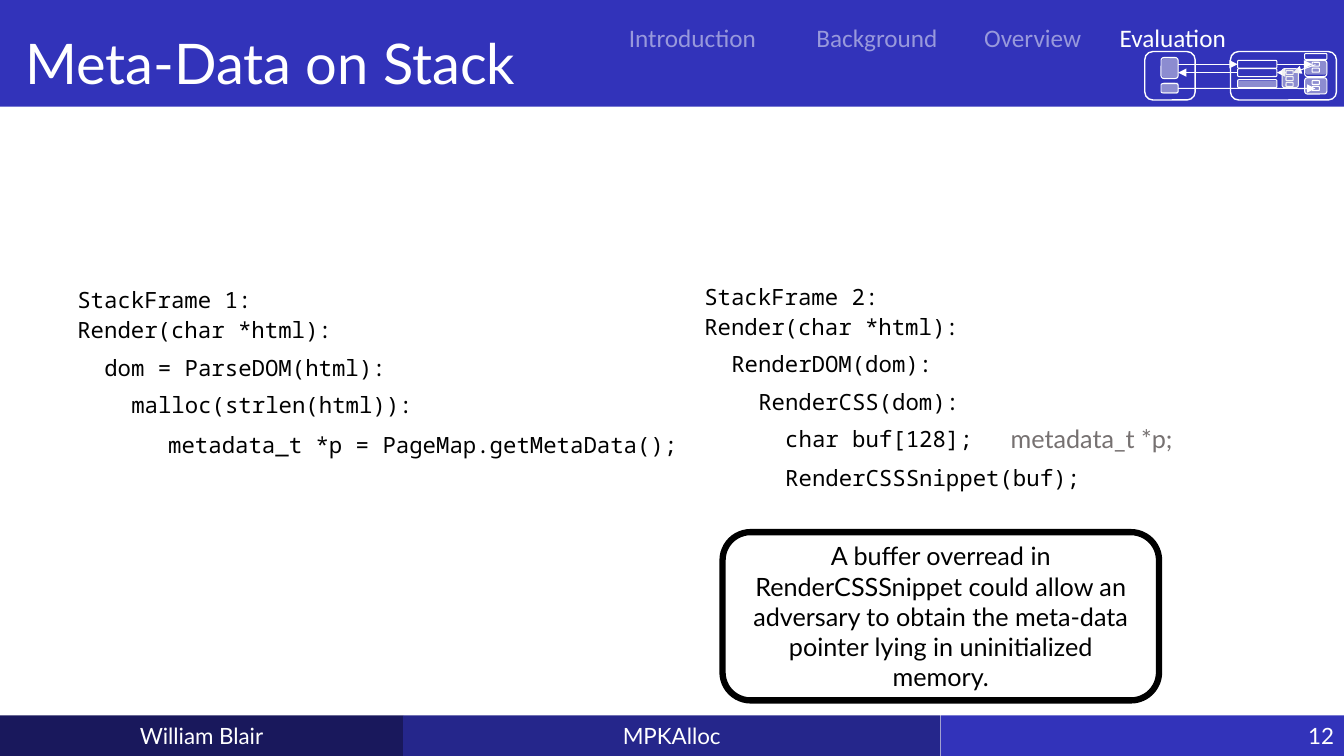
from dataclasses import dataclass

from lxml.etree import SubElement
from pptx import Presentation
from pptx.dml.color import RGBColor
from pptx.enum.shapes import MSO_CONNECTOR, MSO_SHAPE
from pptx.enum.text import MSO_ANCHOR, MSO_AUTO_SIZE, PP_ALIGN
from pptx.oxml.ns import qn
from pptx.util import Cm, Pt


@dataclass(frozen=True)
class Theme:
    blue: str = "3233BA"
    navy: str = "25268B"
    midnight: str = "19185C"
    white: str = "FFFFFF"
    black: str = "000000"
    grey: str = "767171"
    pale: str = "E7E6E6"
    sans: str = "Lato"
    nav: str = "Calibri"
    mono: str = "Noto Sans Mono"
    title_size: int = 40
    text_size: int = 18
    small_size: int = 16
    callout_line: float = 4.5
    frame_line: float = 1
    thin_line: float = 0.75


def apply(obj, values):
    for name, value in values.items():
        setattr(obj, name, value)


def fade(element, percent):
    for clr in element.iter(qn("a:srgbClr")):
        SubElement(clr, qn("a:alpha"), val=str(percent * 1000))


class SlideBuilder:
    def __init__(self, slide, theme):
        self.s = slide
        self.th = theme
        self.canvas = slide.shapes

    def fill_text(self, sp, text, size, color, font=None, align=PP_ALIGN.LEFT,
                  alpha=None, frame=None, para=None):
        tf = sp.text_frame
        apply(tf, {"word_wrap": True, **(frame or {})})
        p = tf.paragraphs[0]
        apply(p, {"alignment": align, **(para or {})})
        r = p.add_run()
        r.text = text
        apply(r.font, {"size": Pt(size), "name": font or self.th.sans})
        r.font.color.rgb = RGBColor.from_string(color)
        if alpha:
            fade(r._r, alpha)

    def title(self, text, box):
        sp = self.s.shapes.title
        apply(sp, dict(zip(("left", "top", "width", "height"), map(Cm, box))))
        sp.fill.solid()
        sp.fill.fore_color.rgb = RGBColor.from_string(self.th.blue)
        frame = {"auto_size": MSO_AUTO_SIZE.NONE,
                 "vertical_anchor": MSO_ANCHOR.MIDDLE,
                 "margin_left": Cm(0.64), "margin_top": Cm(0.76),
                 "margin_right": Cm(0.25), "margin_bottom": Cm(0.13)}
        self.fill_text(sp, text, self.th.title_size, self.th.white,
                       frame=frame, para={"line_spacing": 0.9})

    def text(self, text, box, size, color, **fmt):
        sp = self.s.shapes.add_textbox(*map(Cm, box))
        self.fill_text(sp, text, size, color, **fmt)

    def box(self, box, fill=None, line=None, width=None, alpha=None,
            kind=MSO_SHAPE.ROUNDED_RECTANGLE):
        sp = self.canvas.add_shape(kind, *map(Cm, box))
        sp.shadow.inherit = False
        if fill:
            sp.fill.solid()
            sp.fill.fore_color.rgb = RGBColor.from_string(fill)
        else:
            sp.fill.background()
        if alpha:
            fade(sp._element.spPr, alpha)
        if line:
            sp.line.color.rgb = RGBColor.from_string(line)
            sp.line.width = Pt(width)
        else:
            sp.line.fill.background()
        return sp

    def outline(self, *box):
        return self.box(box, line=self.th.white, width=self.th.thin_line)

    def tint(self, *box):
        return self.box(box, fill=self.th.pale, alpha=50)

    def label(self, text, box, fill, size, color, align, **style):
        sp = self.box(box, fill, **style)
        self.fill_text(sp, text, size, color, align=align,
                       frame={"vertical_anchor": MSO_ANCHOR.MIDDLE})

    def arrow(self, start, end, begin_at=None, end_at=None):
        cx = self.canvas.add_connector(MSO_CONNECTOR.STRAIGHT,
                                       *map(Cm, start + end))
        if begin_at:
            cx.begin_connect(*begin_at)
        if end_at:
            cx.end_connect(*end_at)
        cx.line.color.rgb = RGBColor.from_string(self.th.white)
        cx.line.width = Pt(self.th.thin_line)
        spPr = cx._element.spPr
        SubElement(spPr.find(qn("a:ln")), qn("a:tailEnd"), type="triangle")
        SubElement(spPr, qn("a:effectLst"))

    def code(self, left, top, lines):
        for dy, indent, width, text in lines:
            self.text(text, (left, top + dy, width, 0.94),
                      self.th.small_size, self.th.black, font=self.th.mono,
                      frame={"margin_left": Cm(0.25 + indent)})

    def mini_diagram(self):
        for box in ((32.89, 1.52, 0.56, 0.36), (32.87, 1.96, 0.56, 0.41),
                    (29.29, 1.45, 0.41, 0.53), (29.29, 2.08, 0.41, 0.28),
                    (31.19, 2.03, 0.99, 0.18)):
            self.tint(*box)
        self.canvas = self.s.shapes.add_group_shape().shapes
        for left, width in ((28.85, 1.27), (31.01, 2.67)):
            self.box((left, 1.3, width, 1.22), line=self.th.white,
                     width=self.th.frame_line)
        self.outline(29.26, 1.45, 0.43, 0.53)
        caller = self.outline(29.26, 2.11, 0.43, 0.23)
        for top, height in ((1.35, 0.15), (1.52, 0.41), (1.96, 0.41)):
            self.outline(32.88, top, 0.56, height)
        bars = [self.outline(31.19, top, 0.99, 0.2)
                for top in (1.52, 1.73, 2.01)]
        cells = [self.outline(33.07, top + 0.15 * i, 0.18, 0.1)
                 for top in (1.57, 2.03) for i in range(2)]
        metas = [self.outline(32.41, 1.78 + 0.15 * i, 0.18, 0.1)
                 for i in range(3)]
        self.outline(32.31, 1.73, 0.41, 0.48)
        self.arrow((29.69, 1.62), (31.19, 1.62), end_at=(bars[0], 1))
        self.arrow((32.18, 1.62), (33.07, 1.62), (bars[0], 3), (cells[0], 1))
        self.arrow((33.15, 1.63), (32.59, 1.83), end_at=(metas[0], 3))
        self.arrow((32.41, 1.83), (32.18, 1.83), (metas[0], 1), (bars[1], 3))
        self.arrow((31.19, 1.83), (29.69, 1.83), begin_at=(bars[1], 1))
        self.arrow((29.69, 2.23), (33.15, 2.23), begin_at=(caller, 3))
        self.canvas = self.s.shapes
        self.tint(32.31, 1.73, 0.43, 0.48)


def main():
    th = Theme()
    prs = Presentation()
    prs.slide_width, prs.slide_height = Cm(33.87), Cm(19.05)
    b = SlideBuilder(prs.slides.add_slide(prs.slide_layouts[5]), th)

    b.title("Meta-Data on Stack", (0, 0, 33.87, 2.69))

    for text, left, width, fill, align in (
            ("12", 23.71, 10.16, th.blue, PP_ALIGN.RIGHT),
            ("William Blair", 0, 10.16, th.midnight, PP_ALIGN.CENTER),
            ("MPKAlloc", 10.16, 13.54, th.navy, PP_ALIGN.CENTER)):
        b.label(text, (left, 18.03, width, 1.02), fill, th.small_size,
                th.white, align, kind=MSO_SHAPE.RECTANGLE)

    for text, left, width, alpha in (
            ("Introduction", 15.47, 3.96, 50), ("Background", 20.12, 3.96, 50),
            ("Overview", 23.7, 4.65, 50), ("Evaluation", 27.23, 4.65, None)):
        b.text(text, (left, 0.43, width, 1.02), th.text_size, th.white,
               font=th.nav, align=PP_ALIGN.CENTER, alpha=alpha)

    b.label("A buffer overread in RenderCSSSnippet could allow an adversary "
            "to obtain the meta-data pointer lying in uninitialized memory.",
            (18.21, 13.41, 11, 4.24), th.white, th.text_size, th.black,
            PP_ALIGN.CENTER, line=th.black, width=th.callout_line)

    b.mini_diagram()

    b.code(1.7, 7.09, (
        (0, 0, 14.66, "StackFrame 1:"),
        (0.76, 0, 14.66, "Render(char *html):"),
        (1.7, 0.68, 14.66, "dom = ParseDOM(html):"),
        (2.64, 1.36, 14.66, "malloc(strlen(html)):"),
        (3.66, 2.29, 15.72, "metadata_t *p = PageMap.getMetaData();")))
    b.code(17.5, 7.01, (
        (0, 0, 14.66, "StackFrame 2:"),
        (0.76, 0, 14.66, "Render(char *html):"),
        (1.7, 0.68, 14.66, "RenderDOM(dom):"),
        (2.64, 1.36, 14.66, "RenderCSS(dom):"),
        (3.58, 2.04, 7.65, "char buf[128];"),
        (4.57, 2.04, 12.19, "RenderCSSSnippet(buf);")))
    b.text("metadata_t *p;", (25.22, 10.54, 7.57, 1.02), th.text_size, th.grey)

    prs.save("out.pptx")


if __name__ == "__main__":
    main()
